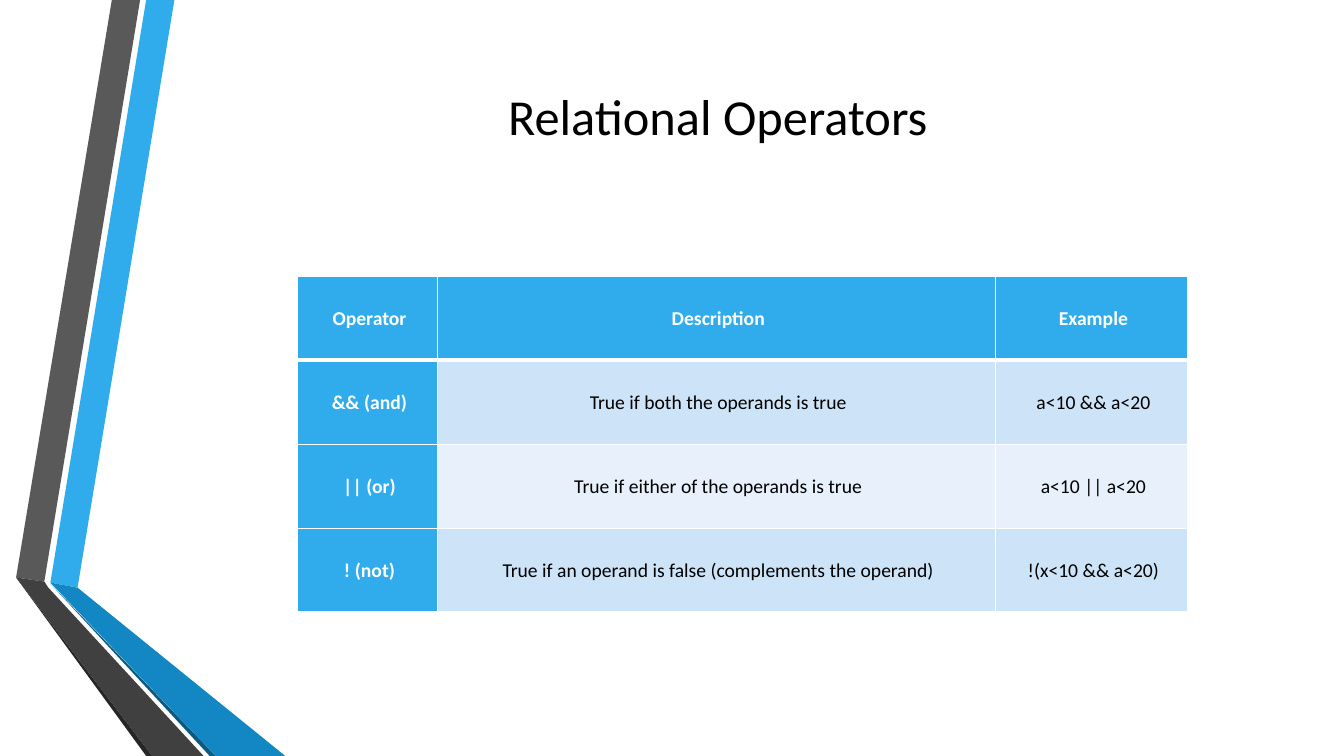
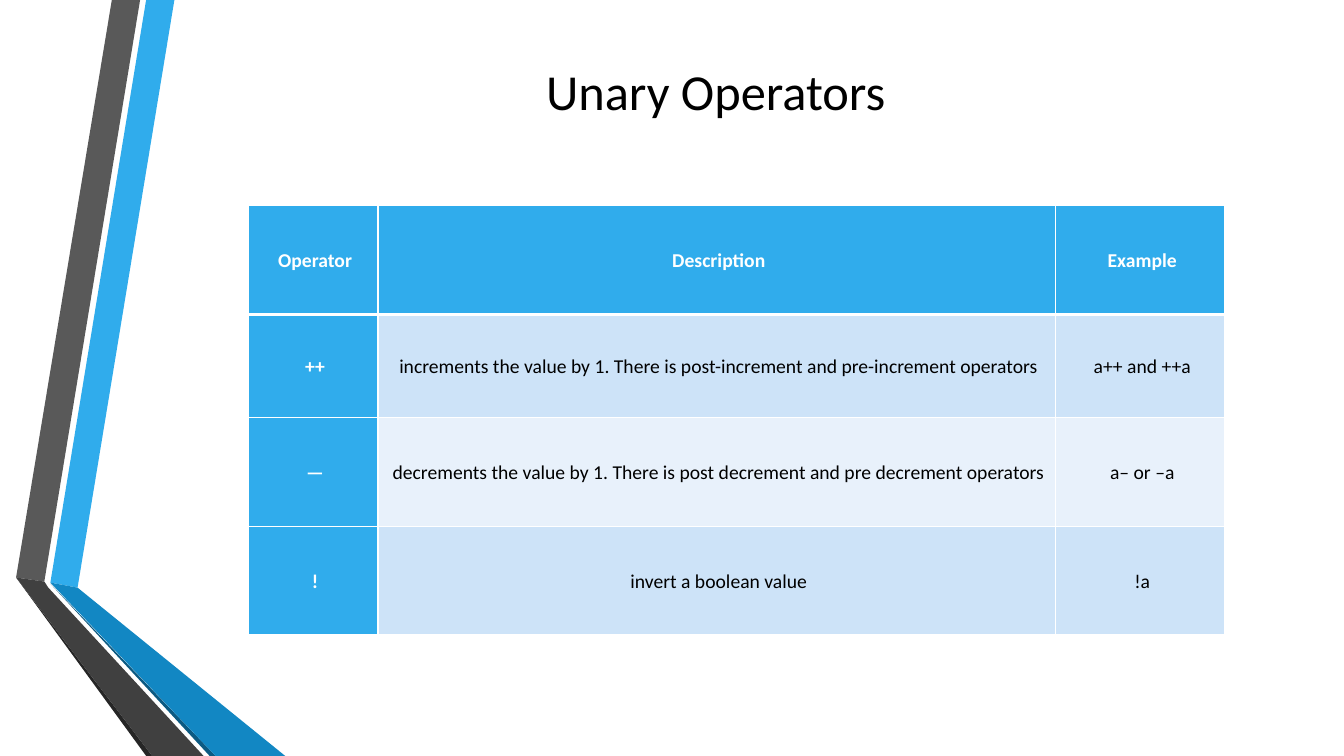
from lxml import etree
from pptx import Presentation
from pptx.dml.color import RGBColor
from pptx.enum import text
from pptx.oxml import ns
from pptx.util import Inches, Pt

FONT = "Calibri"
BLACK = RGBColor(0x00, 0x00, 0x00)
WHITE = RGBColor(0xFF, 0xFF, 0xFF)
BLUE = RGBColor(0x30, 0xAC, 0xEC)
BLUE_FOLD = RGBColor(0x12, 0x87, 0xC3)
BLUE_EDGE = RGBColor(0x0C, 0x5A, 0x82)
GREY = RGBColor(0x59, 0x59, 0x59)
GREY_FOLD = RGBColor(0x40, 0x40, 0x40)
GREY_EDGE = RGBColor(0x26, 0x26, 0x26)
ROW_TINTS = (RGBColor(0xCD, 0xE3, 0xF8), RGBColor(0xE8, 0xF1, 0xFB))

RIBBONS = (
    (BLUE, ((0.5, 5.78), (0.77, 5.83), (1.73, 0), (1.45, 0))),
    (GREY, ((1.39, 0), (1.11, 0), (0.16, 5.73), (0.44, 5.77))),
    (GREY_EDGE, ((0.16, 5.73), (1.45, 7.5), (1.51, 7.5))),
    (BLUE_EDGE, ((0.5, 5.79), (2.08, 7.5), (2.14, 7.5))),
    (BLUE_FOLD, ((0.5, 5.78), (2.14, 7.5), (2.83, 7.5), (0.77, 5.83))),
    (GREY_FOLD, ((0.16, 5.73), (1.51, 7.5), (2.02, 7.5), (0.48, 5.83), (0.44, 5.77))),
)

HEADER = ("Operator", "Description", "Example")
RELATIONAL = (
    HEADER,
    ("&& (and)", "True if both the operands is true", "a<10 && a<20"),
    ("|| (or)", "True if either of the operands is true", "a<10 || a<20"),
    ("! (not)", "True if an operand is false (complements the operand)", "!(x<10 && a<20)"),
)
UNARY = (
    HEADER,
    ("++", "increments the value by 1. There is post-increment and pre-increment operators",
     "a++ and ++a"),
    ("—", "decrements the value by 1. There is post decrement and pre decrement operators",
     "a– or –a"),
    ("!", "invert a boolean value", "!a"),
)


def add_run(p, words, size, color, bold=False):
    p.alignment = text.PP_ALIGN.CENTER
    r = p.add_run()
    r.text = words
    r.font.name = FONT
    r.font.size = Pt(size)
    r.font.bold = bold
    r.font.color.rgb = color


def add_ribbons(s, layout):
    """Draw the ribbons on a slide, then move them to its layout for all slides to share."""
    for color, points in RIBBONS:
        corners = [(Inches(x), Inches(y)) for x, y in points]
        builder = s.shapes.build_freeform(*corners[0])
        builder.add_line_segments(corners[1:], close=True)
        sp = builder.convert_to_shape()
        sp.shadow.inherit = False
        sp.fill.solid()
        sp.fill.fore_color.rgb = color
        sp.line.fill.background()
        layout.shapes.element.append(sp.element)


def set_title(s, words, left, top, height):
    sp = s.shapes.title
    sp.left, sp.top = Inches(left), Inches(top)
    sp.width, sp.height = Inches(10.96), Inches(height)
    tf = sp.text_frame
    tf.vertical_anchor = text.MSO_ANCHOR.MIDDLE
    add_run(tf.paragraphs[0], words, 36, BLACK)


def set_borders(cell, top, bottom):
    tc_pr = cell._tc.get_or_add_tcPr()
    for i, (side, width) in enumerate((("L", 1), ("R", 1), ("T", top), ("B", bottom))):
        line = etree.Element(ns.qn(f"a:ln{side}"), w=str(Pt(width)))
        fill = etree.SubElement(line, ns.qn("a:solidFill"))
        etree.SubElement(fill, ns.qn("a:srgbClr"), val=str(WHITE))
        tc_pr.insert(i, line)


def fill_cell(cell, words, row, col):
    is_heading = row == 0 or col == 0
    cell.fill.solid()
    cell.fill.fore_color.rgb = BLUE if is_heading else ROW_TINTS[(row - 1) % 2]
    set_borders(cell, top=3 if row == 1 else 1, bottom=3 if row == 0 else 1)
    cell.vertical_anchor = text.MSO_ANCHOR.MIDDLE
    cell.margin_left = Inches(0.05)
    cell.margin_right = cell.margin_top = cell.margin_bottom = Inches(0.01)
    p = cell.text_frame.paragraphs[0]
    p.line_spacing = 1.07
    p.space_after = Pt(8)
    add_run(p, words, 14, WHITE if is_heading else BLACK, is_heading)


def add_operator_table(s, rows, left, top, widths, heights):
    frame = s.shapes.add_table(len(rows), len(widths), Inches(left), Inches(top),
                               Inches(sum(widths)), Inches(sum(heights)))
    table = frame.table
    table.horz_banding = False
    for column, width in zip(table.columns, widths):
        column.width = Inches(width)
    for row, height in zip(table.rows, heights):
        row.height = Inches(height)
    for i, row in enumerate(rows):
        for j, words in enumerate(row):
            fill_cell(table.cell(i, j), words, i, j)


def main():
    prs = Presentation()
    prs.slide_width, prs.slide_height = Inches(13.33), Inches(7.5)
    layout = prs.slide_layouts.get_by_name("Title Only")

    s = prs.slides.add_slide(layout)
    add_ribbons(s, layout)
    set_title(s, "Relational Operators", 1.64, 0.8, 0.68)
    add_operator_table(s, RELATIONAL, 2.95, 2.74, (1.39, 5.53, 1.91), (0.83, 0.84, 0.83, 0.83))

    s = prs.slides.add_slide(layout)
    set_title(s, "Unary Operators", 1.62, 0.48, 0.83)
    add_operator_table(s, UNARY, 2.46, 2.04, (1.29, 6.72, 1.68), (1.08, 1.02, 1.08, 1.08))

    prs.save("out.pptx")


if __name__ == "__main__":
    main()
